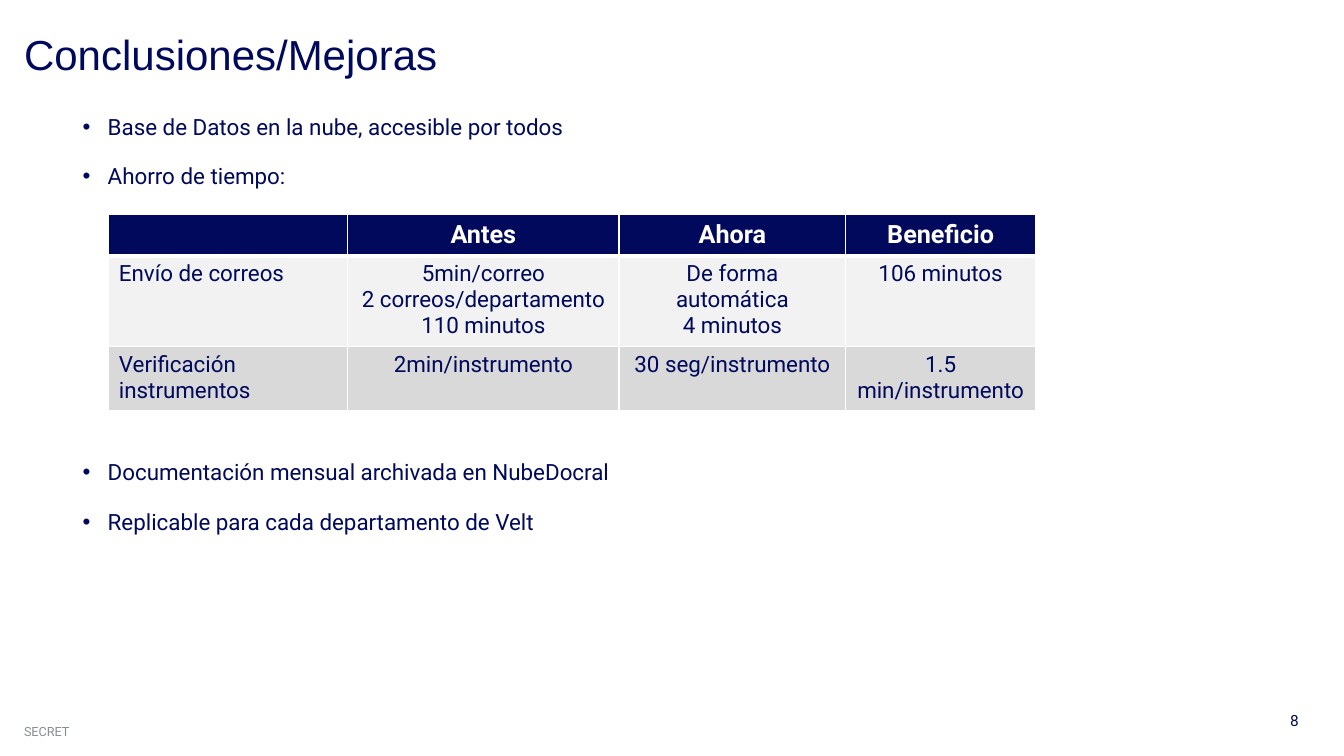
from pptx import Presentation, util as u
from pptx.dml import color
from pptx.enum import text
from pptx.oxml import ns
from lxml import etree

Inches, Pt = u.Inches, u.Pt
LEFT, CENTER, RIGHT = text.PP_ALIGN.LEFT, text.PP_ALIGN.CENTER, text.PP_ALIGN.RIGHT


def rgb(value):
    return color.RGBColor.from_string(value)


def put_text(tf, lines, size=16, font="Roboto", ink="00095B", bold=False,
             align=LEFT, line=None, gap=None, bullet=None):
    """Fill a text frame with one paragraph per line."""
    for i, content in enumerate(lines.split("\n")):
        p = tf.paragraphs[0] if i == 0 else tf.add_paragraph()
        p.alignment = align
        if line:
            p.line_spacing = line
        if gap:
            p.space_before = p.space_after = Pt(gap)
        if bullet:
            pPr = p._p.get_or_add_pPr()
            pPr.set("marL", str(Inches(0.25)))
            pPr.set("indent", str(-Inches(0.25)))
            etree.SubElement(pPr, ns.qn("a:buFont"), typeface="Arial")
            etree.SubElement(pPr, ns.qn("a:buChar"), char=bullet)
        r = p.add_run()
        r.text = content
        r.font.size, r.font.name, r.font.bold = Pt(size), font, bold
        r.font.color.rgb = rgb(ink)


class Deck:
    NAVY, WHITE, GREY = "00095B", "FFFFFF", "898E90"
    ROW_FILLS = (NAVY, "F2F2F2", "D9D9D9")

    def __init__(self):
        self.prs = Presentation()
        self.prs.slide_width, self.prs.slide_height = Inches(13.33), Inches(7.5)
        self.s = self.prs.slides.add_slide(self.prs.slide_layouts[6])

    def text_box(self, x, y, w, h, lines, wrap=True,
                 anchor=text.MSO_ANCHOR.TOP, **style):
        tf = self.s.shapes.add_textbox(*map(Inches, (x, y, w, h))).text_frame
        tf.word_wrap = wrap
        tf.vertical_anchor = anchor
        put_text(tf, lines, **style)

    def bullets(self, y, h, lines):
        self.text_box(0.72, y, 11.89, h, lines, line=0.9, gap=9, bullet="•")

    def borders(self, cell, **widths):
        tcPr = cell._tc.get_or_add_tcPr()
        for side in "LRTB":
            ln = etree.SubElement(tcPr, ns.qn(f"a:ln{side}"),
                                  w=str(Pt(widths.get(side, 1))))
            fill = etree.SubElement(ln, ns.qn("a:solidFill"))
            etree.SubElement(fill, ns.qn("a:srgbClr"), val=self.WHITE)

    def table(self, x, y, widths, heights, rows):
        table = self.s.shapes.add_table(
            len(rows), len(widths), Inches(x), Inches(y),
            Inches(sum(widths)), Inches(sum(heights))).table
        table.first_row = table.horz_banding = False
        for column, width in zip(table.columns, widths):
            column.width = Inches(width)
        for row, height in zip(table.rows, heights):
            row.height = Inches(height)
        for i, row in enumerate(rows):
            for j, content in enumerate(row):
                cell = table.cell(i, j)
                self.borders(cell, **{"B": 3 if i == 0 else 1, "T": 3 if i == 1 else 1})
                cell.fill.solid()
                cell.fill.fore_color.rgb = rgb(self.ROW_FILLS[i])
                if content:
                    put_text(cell.text_frame, content,
                             size=18 if i == 0 else 16, bold=i == 0,
                             ink=self.WHITE if i == 0 else self.NAVY,
                             align=CENTER if j else LEFT)


def main():
    deck = Deck()

    # Footer
    deck.text_box(12.6, 7.01, 0.38, 0.29, "8", wrap=False, size=11, align=RIGHT)
    deck.text_box(0.14, 7.13, 0.67, 0.25, "SECRET", wrap=False, size=9, ink=deck.GREY)

    # Title
    deck.text_box(0.14, 0.29, 11.85, 0.55, "Conclusiones/Mejoras", size=30,
                  font="Arial", line=0.9, anchor=text.MSO_ANCHOR.BOTTOM)

    # Improvements above and below the table
    deck.bullets(1.1, 1, "Base de Datos en la nube, accesible por todos\n"
                         "Ahorro de tiempo:")
    deck.bullets(4.53, 2.27, "Documentación mensual archivada en NubeDocral\n"
                             "Replicable para cada departamento de Velt")

    # Time savings
    deck.table(1.08, 2.13, (2.37, 2.69, 2.25, 1.88), (0.41, 0.86, 0.61), [
        ("", "Antes", "Ahora", "Beneficio"),
        ("Envío de correos", "5min/correo\n2 correos/departamento\n110 minutos",
         "De forma automática\n4 minutos", "106 minutos"),
        ("Verificación instrumentos", "2min/instrumento",
         "30 seg/instrumento", "1.5 min/instrumento"),
    ])

    deck.prs.save("out.pptx")


if __name__ == "__main__":
    main()
